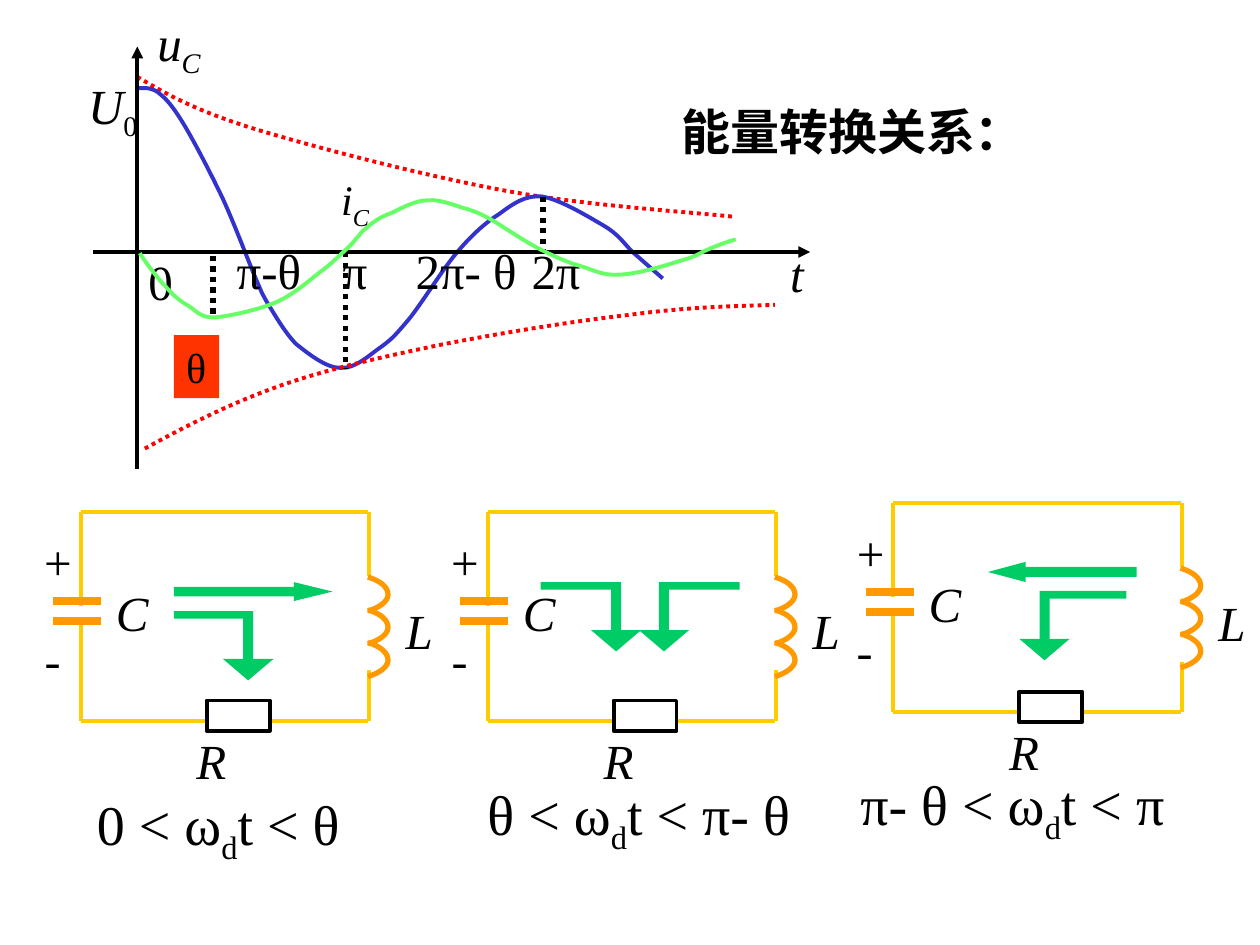
"""Builds a slide on energy exchange in an underdamped RLC circuit."""
from lxml.etree import SubElement
from pptx import Presentation
from pptx.dml.color import RGBColor
from pptx.enum.dml import MSO_LINE
from pptx.enum.shapes import MSO_CONNECTOR, MSO_SHAPE
from pptx.enum.text import MSO_ANCHOR, MSO_AUTO_SIZE, PP_ALIGN
from pptx.oxml.ns import qn
from pptx.util import Inches, Pt

BLACK = RGBColor(0, 0, 0)
WHITE = RGBColor(255, 255, 255)
WIRE = RGBColor(0xFF, 0xCC, 0x00)
PART = RGBColor(0xFF, 0x99, 0x00)
FLOW = RGBColor(0x00, 0xCC, 0x66)
ENVELOPE = RGBColor(0xFF, 0x00, 0x00)
VOLTAGE = RGBColor(0x33, 0x33, 0xCC)
CURRENT = RGBColor(0x66, 0xFF, 0x66)
THETA_FILL = RGBColor(0xFF, 0x33, 0x00)
SERIF, SANS = "Times New Roman", "Noto Sans CJK SC"
DOTS = MSO_LINE.ROUND_DOT

CAPTIONS = [
    (5.31, 0.76, 2.96, 0.57, 28, [("能量转换关系：", "b")]),
    (0.67, 6.22, 2.37, 0.64, 32, [("0 < ω", ""), ("d", "s"), ("t < θ", "")]),
    (3.77, 6.14, 2.68, 0.64, 32, [("θ < ω", ""), ("d", "s"), ("t < π- θ", "")]),
    (6.73, 6.06, 2.82, 0.64, 32, [("π- θ < ω", ""), ("d", "s"), ("t < π", "")]),
]
GRAPH_LABELS = [
    (1.78, 1.86, 0.74, 0.57, 28, [("π-θ", "")]),
    (3.2, 1.86, 1.03, 0.57, 28, [("2π- θ", "")]),
    (4.12, 1.86, 0.61, 0.57, 28, [("2π", "")]),
    (2.62, 1.86, 0.41, 0.57, 28, [("π", "")]),
    (1.08, 1.95, 0.4, 0.57, 28, [("0", "")]),
    (0.6, 0.55, 0.61, 0.57, 28, [("U", "i"), ("0", "s")]),
    (1.15, 0.05, 0.57, 0.57, 28, [("u", "i"), ("C", "is")]),
]
CURRENT_LABEL = (2.61, 1.33, 0.44, 0.5, 24, [("i", "i"), ("C", "is")])

CIRCUIT_ORIGINS = [(3.87, 4.06), (0.64, 4.06), (7.09, 3.99)]
CIRCUIT_WIRES = [
    (2.29, 0, 2.29, 0.51), (2.29, 1.26, 2.29, 1.66), (0, 1.66, 2.28, 1.66),
    (0, 0, 0, 0.75), (0, 0.87, 0, 1.66), (0, 0, 2.28, 0),
]
CAPACITOR_PLATES = [(-0.22, 0.71, 0.16, 0.71), (-0.22, 0.87, 0.16, 0.87)]
CIRCUIT_LABELS = [
    ("R", 0.92, 1.74, 0.54, "i", SERIF), ("L", 2.58, 0.71, 0.22, "i", SERIF),
    ("C", 0.28, 0.56, 0.5, "i", SERIF), ("+", -0.29, 0.16, 0.22, "", SERIF),
    ("-", -0.29, 0.95, 0.2, "", SANS),
]
COIL_X, COIL_Y, COIL_STEP = 2.28, 0.52, 0.26
COIL_LOOP = [(0, 0), (0.1, 0.03), (0.16, 0.08), (0.16, 0.14),
             (0.16, 0.19), (0.1, 0.24), (0, 0.27)]

ELBOWS = [(5.87, 5.27, 4.62), (4.29, 4.89, 4.62), (1.38, 1.97, 4.85), (8.94, 8.29, 4.69)]
STRAIGHT_ARROWS = [
    (MSO_SHAPE.RIGHT_ARROW, 1.38, 4.62, 1.26, 0.15, 2.04),
    (MSO_SHAPE.LEFT_ARROW, 7.84, 4.46, 1.18, 0.16, 1.87),
]

UPPER = [(1.09, 0.61), (1.31, 0.74), (1.53, 0.87), (2.01, 1.02), (2.5, 1.17),
         (3.35, 1.39), (3.99, 1.51), (4.62, 1.63), (5.44, 1.68), (5.82, 1.72)]
LOWER = [(1.15, 3.56), (1.48, 3.38), (1.81, 3.21), (2.2, 3.07), (2.59, 2.93),
         (3.01, 2.84), (3.48, 2.74), (3.94, 2.65), (4.54, 2.55), (4.99, 2.5),
         (5.43, 2.44), (5.79, 2.43), (6.15, 2.42)]
VOLTAGE_CURVE = [
    (1.09, 0.7), (1.09, 0.7), (1.08, 0.69), (1.11, 0.7), (1.13, 0.7), (1.19, 0.69),
    (1.25, 0.73), (1.3, 0.77), (1.34, 0.8), (1.43, 0.94), (1.52, 1.08), (1.67, 1.37),
    (1.77, 1.58), (1.87, 1.8), (1.97, 2.07), (2.03, 2.21), (2.09, 2.35), (2.07, 2.31),
    (2.12, 2.4), (2.17, 2.48), (2.26, 2.64), (2.35, 2.73), (2.45, 2.81), (2.59, 2.92),
    (2.7, 2.92), (2.82, 2.93), (2.94, 2.81), (3.03, 2.75), (3.11, 2.69), (3.13, 2.67),
    (3.24, 2.54), (3.34, 2.42), (3.51, 2.14), (3.63, 2), (3.75, 1.86), (3.85, 1.77),
    (3.96, 1.7), (4.07, 1.62), (4.16, 1.55), (4.3, 1.56), (4.44, 1.58), (4.67, 1.72),
    (4.79, 1.79), (4.91, 1.86), (4.95, 1.93), (5.02, 2), (5.1, 2.07), (5.18, 2.14),
    (5.26, 2.21)]
CURRENT_CURVE = [
    (1.11, 2.01), (1.14, 2.06), (1.25, 2.21), (1.32, 2.28), (1.38, 2.35), (1.43, 2.39),
    (1.5, 2.43), (1.56, 2.47), (1.59, 2.52), (1.7, 2.52), (1.82, 2.51), (2.05, 2.46),
    (2.19, 2.4), (2.33, 2.34), (2.45, 2.23), (2.54, 2.16), (2.64, 2.09), (2.71, 2.01),
    (2.76, 1.97), (2.81, 1.92), (2.81, 1.92), (2.83, 1.89), (2.86, 1.87), (2.86, 1.84),
    (2.91, 1.81), (2.95, 1.77), (3.02, 1.72), (3.11, 1.69), (3.19, 1.65), (3.3, 1.59),
    (3.4, 1.59), (3.5, 1.58), (3.63, 1.64), (3.71, 1.66), (3.8, 1.69), (3.82, 1.7),
    (3.91, 1.75), (4.01, 1.81), (4.17, 1.92), (4.29, 1.98), (4.41, 2.04), (4.5, 2.08),
    (4.6, 2.11), (4.71, 2.14), (4.78, 2.19), (4.91, 2.18), (5.04, 2.18), (5.28, 2.11),
    (5.4, 2.07), (5.52, 2.04), (5.55, 2.01), (5.62, 1.98), (5.69, 1.95), (5.77, 1.92),
    (5.84, 1.9)]


def add_text(shapes, left, top, width, height, size, spans, font=SERIF, inset=True, wrap=False):
    box = shapes.add_textbox(*map(Inches, (left, top, width, height)))
    frame = box.text_frame
    frame.word_wrap = wrap
    frame.auto_size = MSO_AUTO_SIZE.SHAPE_TO_FIT_TEXT
    if not inset:
        frame.margin_left = frame.margin_right = frame.margin_top = frame.margin_bottom = 0
    for text, style in spans:
        span = frame.paragraphs[0].add_run()
        span.text = text
        span.font.size, span.font.name = Pt(size), font
        span.font.color.rgb = BLACK
        span.font.bold, span.font.italic = "b" in style, "i" in style
        properties = span.font._element
        SubElement(properties, qn("a:ea")).set("typeface", SANS)
        if "s" in style:
            properties.set("baseline", "-25000")
    return box


def add_line(shapes, ends, color, width, dash=None, arrow=None):
    line = shapes.add_connector(MSO_CONNECTOR.STRAIGHT, *map(Inches, ends))
    line.line.color.rgb, line.line.width = color, Pt(width)
    if dash:
        line.line.dash_style = dash
    if arrow:
        SubElement(line.line._get_or_add_ln(), qn(arrow)).set("type", "triangle")
    SubElement(line._element.spPr, qn("a:effectLst"))


def add_outline(shapes, points, close):
    start, *rest = [(Inches(x), Inches(y)) for x, y in points]
    builder = shapes.build_freeform(*start)
    builder.add_line_segments(rest, close=close)
    shape = builder.convert_to_shape()
    shape.shadow.inherit = False
    return shape


def add_curve(shapes, points, color, width=2.25, dash=None):
    curve = add_outline(shapes, points, False)
    segments = list(curve._element.iter(qn("a:lnTo")))
    for first, second, third in zip(*[iter(segments)] * 3):
        first.tag = qn("a:cubicBezTo")
        for segment in (second, third):
            first.append(segment[0])
            segment.getparent().remove(segment)
    curve.fill.background()
    curve.line.color.rgb, curve.line.width = color, Pt(width)
    if dash:
        curve.line.dash_style = dash


def fill_flow(shape):
    shape.shadow.inherit = False
    shape.fill.solid()
    shape.fill.fore_color.rgb = FLOW
    shape.line.fill.background()


def add_elbow(shapes, tail, tip, top):
    side = 1 if tail > tip else -1
    head, shaft, bar, neck, bottom = side * 0.2, side * 0.04, top + 0.06, top + 0.38, top + 0.55
    fill_flow(add_outline(shapes, [
        (tip, bottom), (tip + head, neck), (tip + shaft, neck), (tip + shaft, bar),
        (tail, bar), (tail, top), (tip - shaft, top), (tip - shaft, neck), (tip - head, neck),
    ], True))


def add_circuit(shapes, left, top):
    for parts, color, width in ((CIRCUIT_WIRES, WIRE, 2.25), (CAPACITOR_PLATES, PART, 4.5)):
        for x1, y1, x2, y2 in parts:
            add_line(shapes, (left + x1, top + y1, left + x2, top + y2), color, width)
    for text, x, y, width, style, font in CIRCUIT_LABELS:
        add_text(shapes, left + x, top + y, width, 0.47, 28, [(text, style)], font, False, text in "RC")
    for turn in range(3):
        x0, y0 = left + COIL_X, top + COIL_Y + turn * COIL_STEP
        add_curve(shapes, [(x0 + x, y0 + y) for x, y in COIL_LOOP], PART, 3)
    resistor = shapes.add_shape(MSO_SHAPE.RECTANGLE, Inches(left + 1), Inches(top + 1.5),
                                Inches(0.5), Inches(0.24))
    resistor.shadow.inherit = False
    resistor.fill.solid()
    resistor.fill.fore_color.rgb = WHITE
    resistor.line.color.rgb, resistor.line.width = BLACK, Pt(2.25)


def add_graph(shapes):
    add_curve(shapes, UPPER, ENVELOPE, dash=DOTS)
    add_curve(shapes, VOLTAGE_CURVE, VOLTAGE)
    add_curve(shapes, LOWER, ENVELOPE, dash=DOTS)
    add_line(shapes, (0.74, 2, 6.43, 2), BLACK, 2.25, arrow="a:tailEnd")
    add_line(shapes, (1.09, 0.37, 1.09, 3.72), BLACK, 2.25, arrow="a:headEnd")
    time = add_text(shapes, 6.17, 1.88, 0.31, 0.57, 28, [("t", "i")])
    time.text_frame.vertical_anchor = MSO_ANCHOR.MIDDLE
    time.text_frame.paragraphs[0].alignment = PP_ALIGN.CENTER
    for label in GRAPH_LABELS:
        add_text(shapes, *label)
    for ends in ((2.74, 2, 2.74, 2.93), (4.31, 1.56, 4.31, 2)):
        add_line(shapes, ends, BLACK, 3, DOTS)


def main():
    deck = Presentation()
    deck.slide_width, deck.slide_height = Inches(10), Inches(7.5)
    shapes = deck.slides.add_slide(deck.slide_layouts[6]).shapes
    for caption in CAPTIONS:
        add_text(shapes, *caption)
    for origin in CIRCUIT_ORIGINS:
        add_circuit(shapes.add_group_shape().shapes, *origin)
    for elbow in ELBOWS:
        add_elbow(shapes, *elbow)
    for kind, left, top, width, height, head in STRAIGHT_ARROWS:
        arrow = shapes.add_shape(kind, *map(Inches, (left, top, width, height)))
        arrow.adjustments[1] = head
        fill_flow(arrow)
    add_graph(shapes.add_group_shape().shapes)
    theta = add_text(shapes, 1.38, 2.66, 0.36, 0.5, 24, [("θ", "")])
    theta.fill.solid()
    theta.fill.fore_color.rgb = THETA_FILL
    add_curve(shapes, CURRENT_CURVE, CURRENT)
    add_line(shapes, (1.69, 2.03, 1.69, 2.53), BLACK, 3, DOTS)
    add_text(shapes, *CURRENT_LABEL)
    deck.save("out.pptx")


if __name__ == "__main__":
    main()
